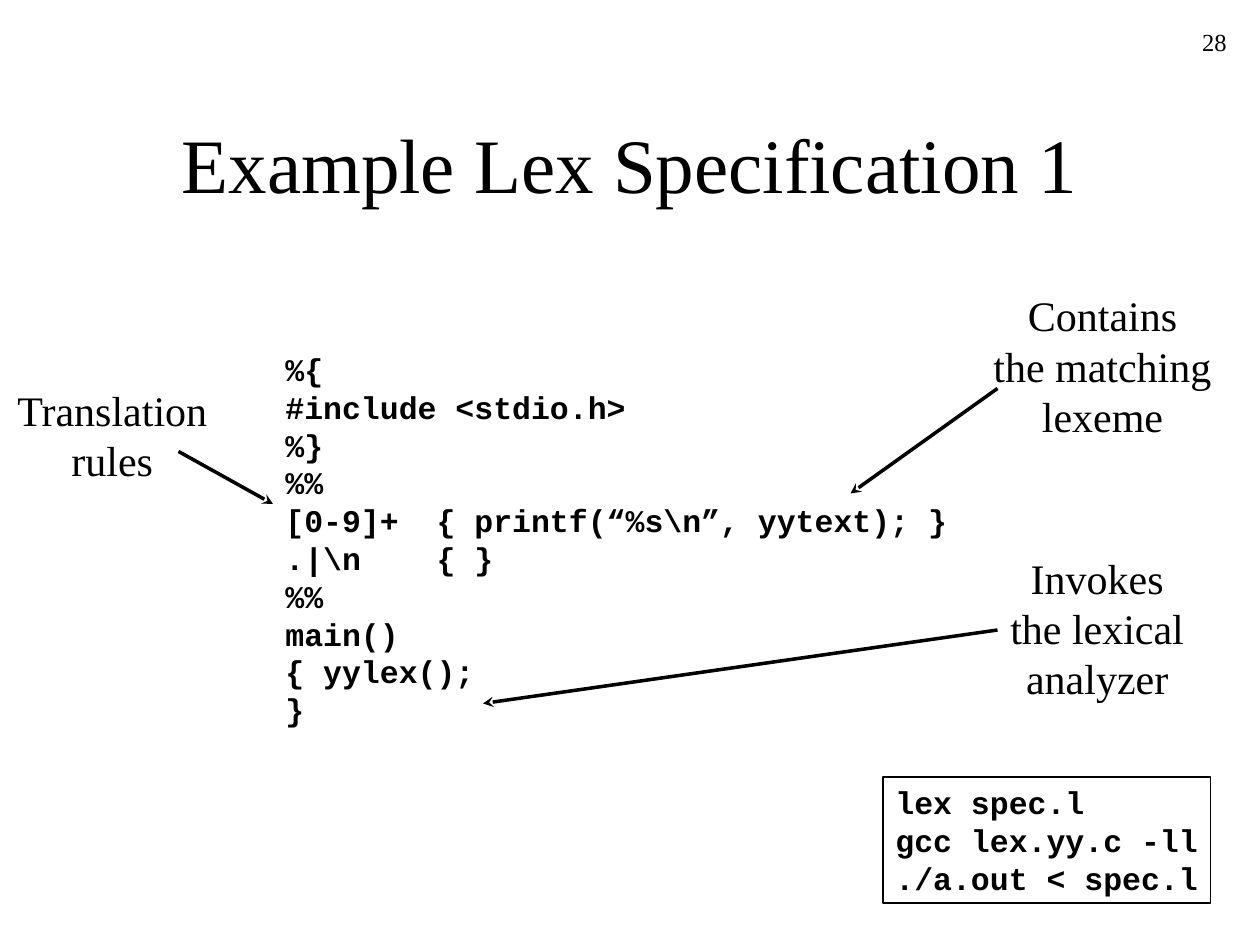
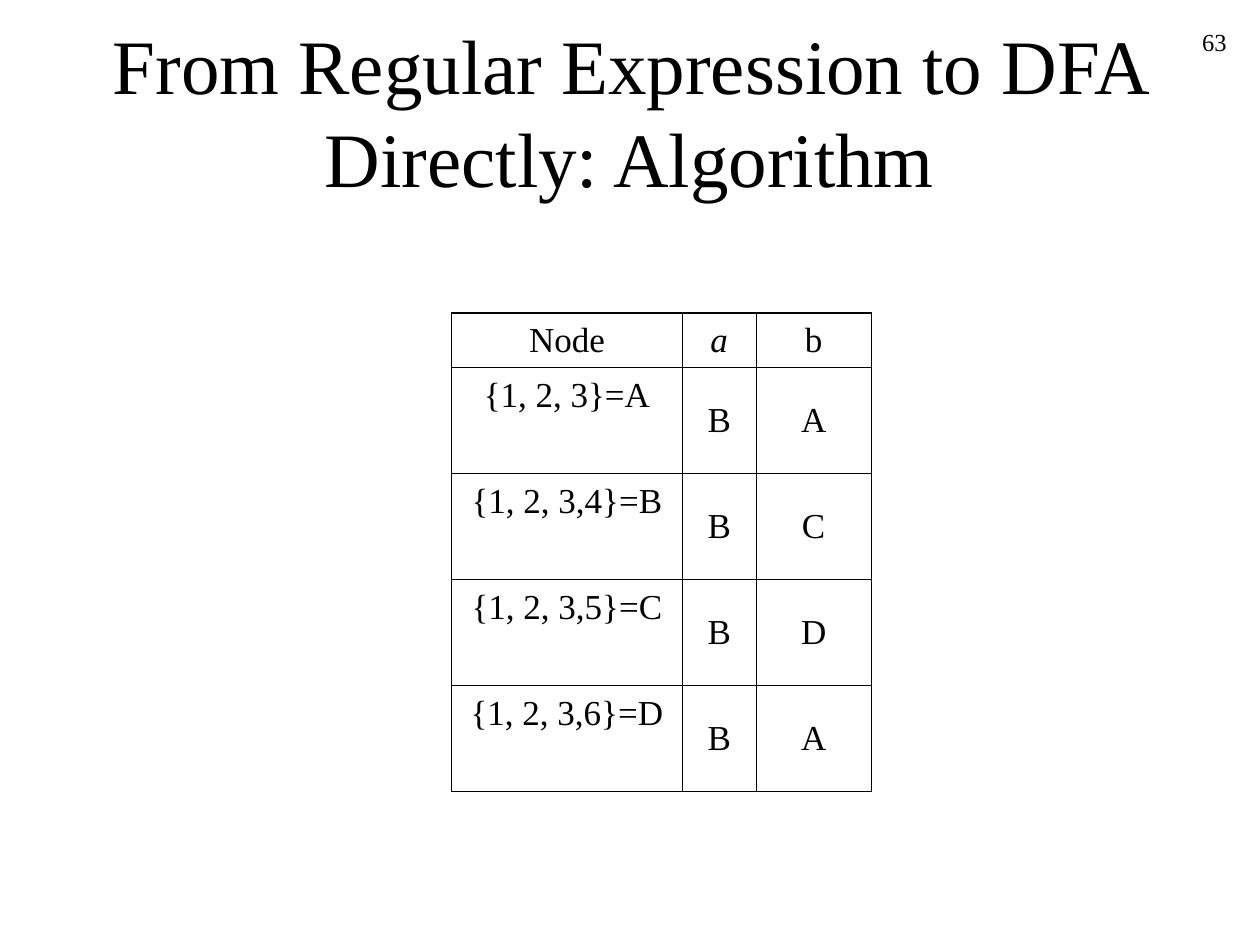
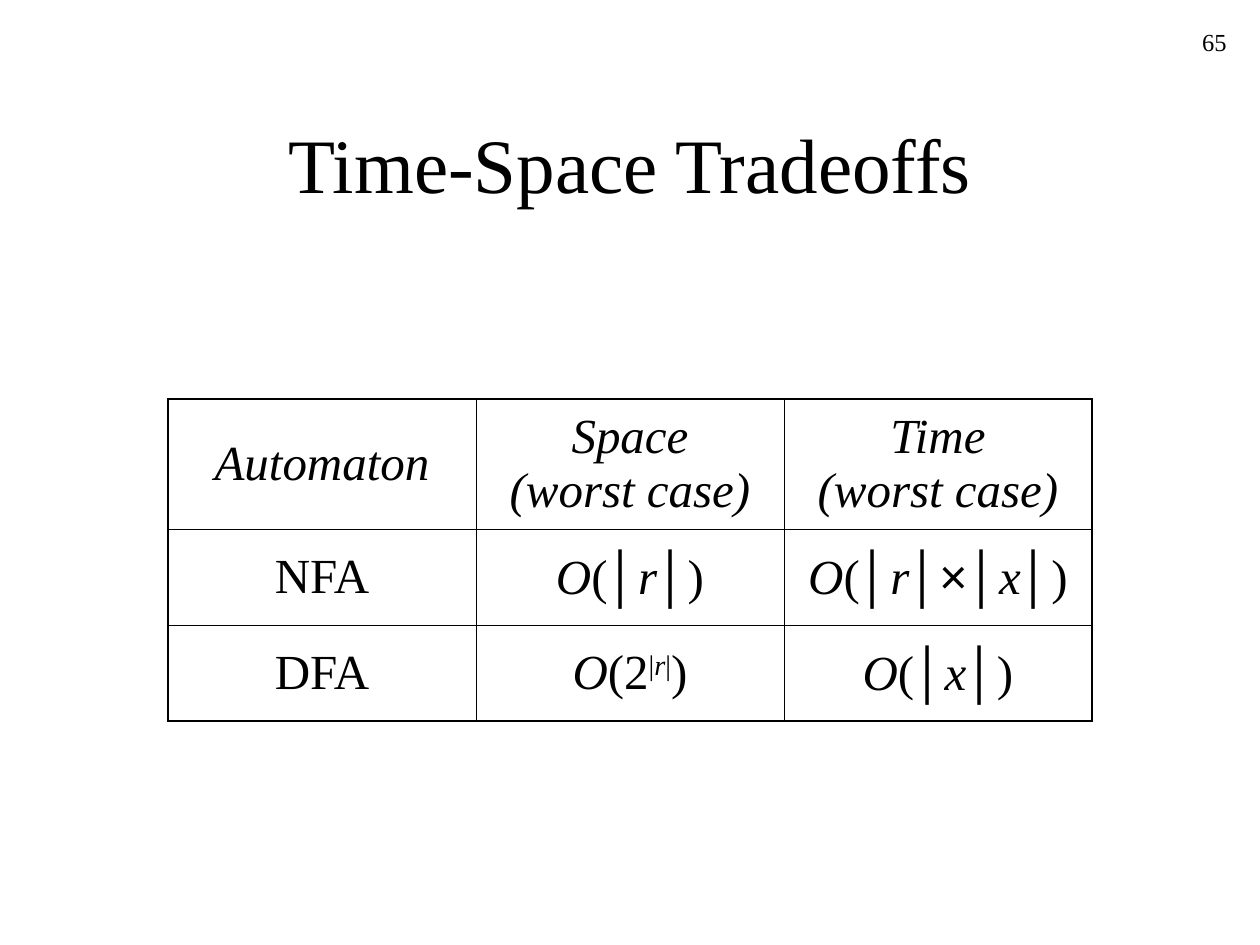
from lxml.etree import SubElement
from pptx import Presentation
from pptx.dml.color import RGBColor
from pptx.enum.dml import MSO_LINE
from pptx.enum.shapes import MSO_CONNECTOR, MSO_SHAPE
from pptx.enum.text import MSO_ANCHOR, MSO_AUTO_SIZE, PP_ALIGN
from pptx.oxml import parse_xml
from pptx.oxml.ns import nsdecls, qn
from pptx.util import Inches, Pt

BLACK = RGBColor(0x00, 0x00, 0x00)
SERIF, SANS, MONO = "Times New Roman", "Arial", "Courier New"
THICK, THIN = 1.08, 0.45
GRID = 12
TITLE_LEFT, TITLE_WIDTH, TITLE_HEIGHT = 9, 102, 15
PAGE_NUMBER_AREA = (93, 2, 25, 6)

LEX_CODE = r"""%{
#include <stdio.h>
%}
%%
[0-9]+  { printf(“%s\n”, yytext); }
.|\n    { }
%%
main()
{ yylex();
}"""
LEX_CODE_AREA = (26, 32.75, 65.4, 37.2)
COMMANDS = "lex spec.l\ngcc lex.yy.c -ll\n./a.out < spec.l"
COMMANDS_AREA = (84.1, 74, 31.2, 12)
CALLOUTS = [
    ("Contains\nthe matching\nlexeme", (93.4, 27, 23.2, 15.6), (95, 37), (81, 47)),
    ("Invokes\nthe lexical\nanalyzer", (95, 52, 19, 15.6), (95, 60), (46, 67)),
    ("Translation\nrules", (0.4, 36, 20.6, 10.8), (17, 43), (26, 48)),
]

TRANSITIONS = [
    ["Node", [("a", "italic")], "b"],
    ["{1, 2, 3}=A", "B", "A"],
    ["{1, 2, 3,4}=B", "B", "C"],
    ["{1, 2, 3,5}=C", "B", "D"],
    ["{1, 2, 3,6}=D", "B", "A"],
]

OPEN = [("O", "italic"), ("(", "")]
BAR = ("│", "sans")
R, X = ("r", "italic"), ("x", "italic")
CLOSE = (")", "")
POWER = [("(2", ""), ("|", "super"), ("r", "italic super"), ("|", "super")]
TRADEOFFS = [
    [[(head, "italic")] for head in ("Automaton", "Space\n(worst case)", "Time\n(worst case)")],
    ["NFA", [*OPEN, BAR, R, BAR, CLOSE], [*OPEN, BAR, R, ("│×│", "sans"), X, BAR, CLOSE]],
    ["DFA", [OPEN[0], *POWER, CLOSE], [*OPEN, BAR, X, BAR, CLOSE]],
]


def grid(*counts):
    return [Inches(count / GRID) for count in counts]


def format_font(font, size, name=SERIF, bold=False, italic=False):
    font.size, font.name, font.bold, font.italic = Pt(size), name, bold, italic
    font.color.rgb = BLACK


def write(box, text, size, name=SERIF, bold=False, align=PP_ALIGN.LEFT, wrap=False):
    frame = box.text_frame
    frame.text = text
    frame.word_wrap = wrap
    frame.auto_size = MSO_AUTO_SIZE.NONE if wrap else MSO_AUTO_SIZE.SHAPE_TO_FIT_TEXT
    for para in frame.paragraphs:
        para.alignment = align
        for span in para.runs:
            format_font(span.font, size, name, bold)


def add_page(deck, title, number, title_top=8):
    page = deck.slides.add_slide(deck.slide_layouts[5])
    number_box = page.shapes.add_textbox(*grid(*PAGE_NUMBER_AREA))
    write(number_box, number, 14, align=PP_ALIGN.RIGHT, wrap=True)
    heading = page.shapes.title
    heading.left, heading.top, heading.width, heading.height = grid(
        TITLE_LEFT, title_top, TITLE_WIDTH, TITLE_HEIGHT)
    write(heading, title, 44, align=PP_ALIGN.CENTER, wrap=True)
    heading.text_frame.vertical_anchor = MSO_ANCHOR.MIDDLE
    return page


def add_arrow(page, start, end):
    arrow = page.shapes.add_connector(MSO_CONNECTOR.STRAIGHT, *grid(*start, *end))
    arrow.line.color.rgb = BLACK
    arrow.line.width = Pt(2)
    arrow.line.dash_style = MSO_LINE.SOLID
    properties = arrow._element.spPr
    SubElement(properties.find(qn("a:ln")), qn("a:tailEnd"), type="stealth")
    SubElement(properties, qn("a:effectLst"))


def fill_cell(cell, content, size, space):
    cell.fill.background()
    cell.vertical_anchor = MSO_ANCHOR.MIDDLE
    para = cell.text_frame.paragraphs[0]
    para.alignment = PP_ALIGN.CENTER
    para.space_before = Pt(space)
    spans = [(content, "")] if isinstance(content, str) else content
    for text, style in spans:
        for index, line in enumerate(text.split("\n")):
            if index:
                para.add_line_break()
            span = para.add_run()
            span.text = line
            format_font(span.font, size, SANS if "sans" in style else SERIF,
                        italic="italic" in style)
            if "super" in style:
                span._r.get_or_add_rPr().set("baseline", "30000")


def border_cell(cell, weights):
    properties = cell._tc.get_or_add_tcPr()
    for index, (side, weight) in enumerate(zip("LRTB", weights)):
        properties.insert(index, parse_xml(
            f'<a:ln{side} {nsdecls("a")} w="{Pt(weight)}"><a:solidFill>'
            f'<a:srgbClr val="{BLACK}"/></a:solidFill></a:ln{side}>'))


def add_grid_table(page, rows, corner, widths, heights, size, space, bottom):
    area = grid(*corner, sum(widths), sum(heights))
    table = page.shapes.add_table(len(rows), len(widths), *area).table
    table.first_row = table.horz_banding = False
    for column, width in zip(table.columns, grid(*widths)):
        column.width = width
    for row, height in zip(table.rows, grid(*heights)):
        row.height = height
    last_row, last_column = len(rows) - 1, len(widths) - 1
    for r, row in enumerate(rows):
        for c, content in enumerate(row):
            cell = table.cell(r, c)
            fill_cell(cell, content, size, space)
            border_cell(cell, (THICK if c == 0 else THIN,
                               THICK if c == last_column else THIN,
                               THICK if r == 0 else THIN,
                               bottom if r == last_row else THIN))
    return table


def build_lex_page(deck):
    page = add_page(deck, "Example Lex Specification 1", "28")
    code = page.shapes.add_textbox(*grid(*LEX_CODE_AREA))
    write(code, LEX_CODE, 18, MONO, bold=True)
    for text, area, start, end in CALLOUTS:
        callout = page.shapes.add_textbox(*grid(*area))
        write(callout, text, 24, align=PP_ALIGN.CENTER)
        add_arrow(page, start, end)
    commands = page.shapes.add_shape(MSO_SHAPE.RECTANGLE, *grid(*COMMANDS_AREA))
    commands.shadow.inherit = False
    commands.fill.background()
    commands.line.color.rgb = BLACK
    commands.line.width = Pt(0.75)
    write(commands, COMMANDS, 18, MONO, bold=True)
    commands.text_frame.vertical_anchor = MSO_ANCHOR.TOP


def build_transition_page(deck):
    page = add_page(deck, "From Regular Expression to DFA Directly: Algorithm", "63", 3)
    table = add_grid_table(page, TRANSITIONS, (43, 29.8), (22, 7, 11),
                           (5.2, *[10.1] * 4), 20, 5, THIN)
    for r in range(1, len(TRANSITIONS)):
        table.cell(r, 0).margin_bottom = Inches(0.44)


def build_tradeoff_page(deck):
    page = add_page(deck, "Time-Space Tradeoffs", "65")
    add_grid_table(page, TRADEOFFS, (16, 38), [88 / 3] * 3,
                   (12.4, 9.15, 9.15), 28, 7, THICK)


def main():
    deck = Presentation()
    deck.slide_width, deck.slide_height = Inches(10), Inches(7.5)
    build_lex_page(deck)
    build_transition_page(deck)
    build_tradeoff_page(deck)
    deck.save("out.pptx")


if __name__ == "__main__":
    main()
